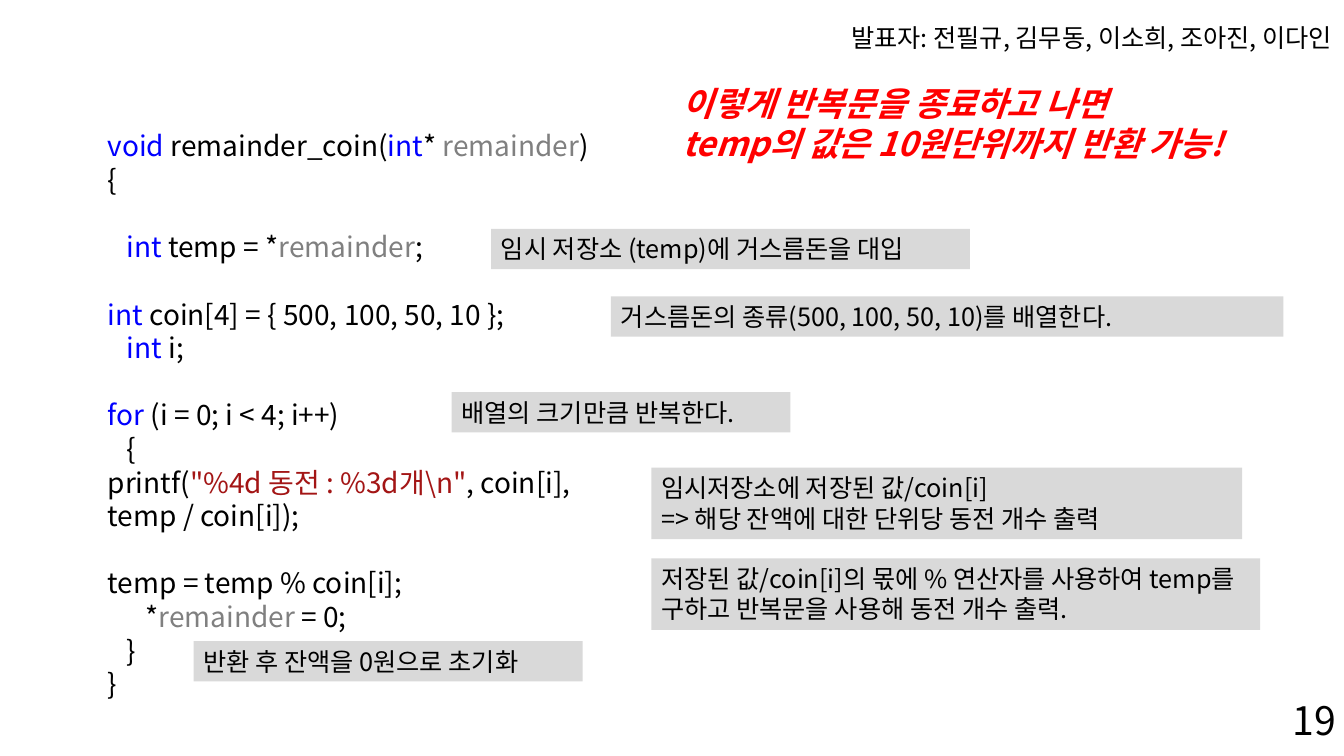
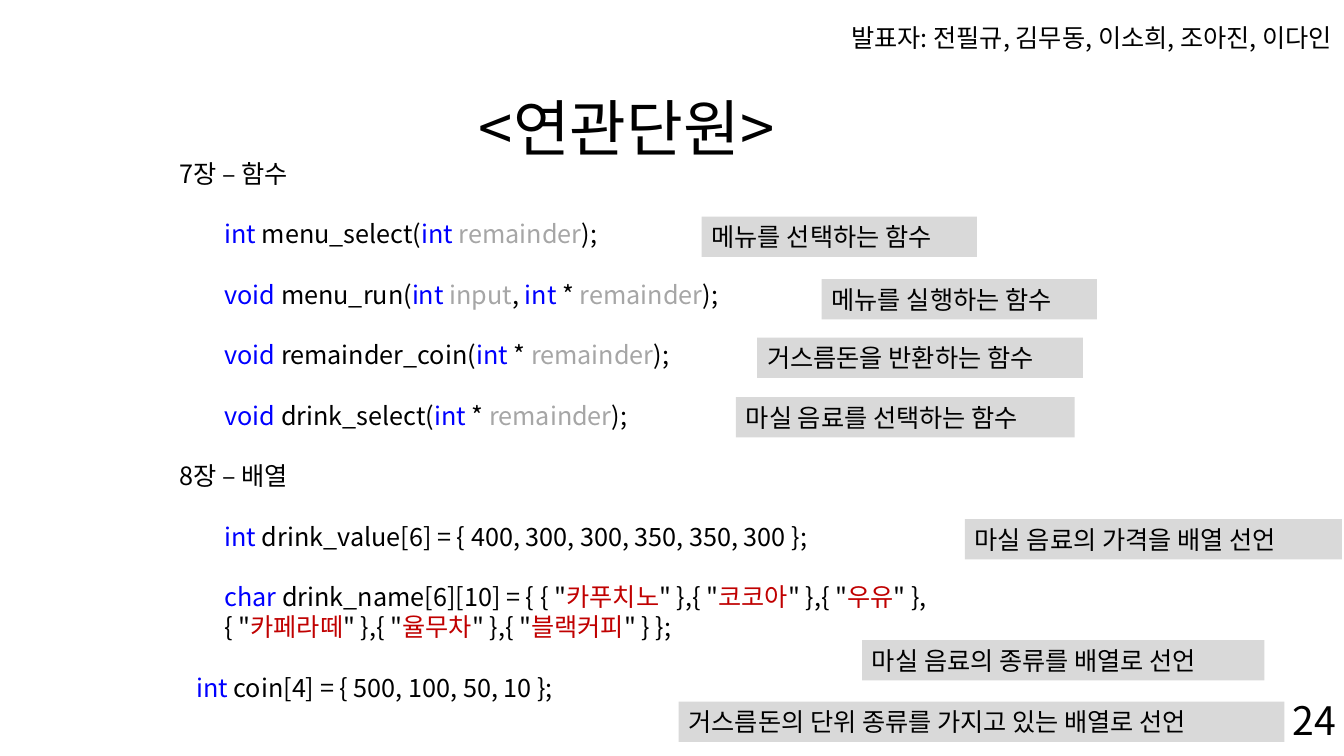
from dataclasses import dataclass
from functools import partial
from typing import NamedTuple, Optional

from lxml import etree
from pptx import Presentation
from pptx import util as u
from pptx.dml.color import RGBColor
from pptx.enum import text as t
from pptx.oxml import ns

EMU_PER_PX = 9144  # 100 px to the inch
FONT = "Noto Sans CJK KR"
LINE_RATIO = 1.2
COLORS = {
    "ink": "000000",
    "label": "D9D9D9",
    "alert": "FF0000",
    "keyword": "0000FF",
    "parameter": "808080",
    "pale_parameter": "A6A6A6",
    "string": "A31515",
    "drink": "C00000",
}
PRESENTERS = "발표자: 전필규, 김무동, 이소희, 조아진, 이다인"


class Box(NamedTuple):
    left: int
    top: int
    width: int
    height: int


class Span(NamedTuple):
    text: str
    color: str = "ink"


keyword = partial(Span, color="keyword")
parameter = partial(Span, color="parameter")
pale = partial(Span, color="pale_parameter")
string = partial(Span, color="string")
drink = partial(Span, color="drink")


@dataclass(frozen=True)
class Line:
    spans: tuple
    gap: bool = False


@dataclass(frozen=True)
class Style:
    size: int
    color: str = "ink"
    emphasis: Optional[bool] = None
    align: t.PP_ALIGN = t.PP_ALIGN.LEFT


@dataclass(frozen=True)
class Label:
    left: int
    top: int
    width: int
    text: str
    height: int = 40


def line(*parts, gap: bool = False) -> Line:
    """Make a line of plain strings and coloured spans; gap leaves one line free above."""
    return Line(tuple(Span(p) if isinstance(p, str) else p for p in parts), gap)


def plain_lines(content: str) -> list:
    return [line(row) for row in content.split("\n")]


def rgb(name: str) -> RGBColor:
    return RGBColor.from_string(COLORS[name])


def place(shape, box: Box) -> None:
    shape.left, shape.top, shape.width, shape.height = (v * EMU_PER_PX for v in box)


def style_paragraph(paragraph, style: Style) -> None:
    paragraph.alignment = style.align
    font = paragraph.font
    font.name, font.size = FONT, u.Pt(style.size)
    font.bold = font.italic = style.emphasis
    font.color.rgb = rgb(style.color)
    defaults = paragraph._p.get_or_add_pPr().get_or_add_defRPr()
    etree.SubElement(defaults, ns.qn("a:ea")).set("typeface", FONT)


def write_lines(frame, lines: list, style: Style) -> None:
    frame.word_wrap = True
    for number, row in enumerate(lines):
        paragraph = frame.add_paragraph() if number else frame.paragraphs[0]
        style_paragraph(paragraph, style)
        if row.gap:
            paragraph.space_before = u.Pt(style.size * LINE_RATIO)
        for span in row.spans:
            run = paragraph.add_run()
            run.text = span.text
            if span.color != "ink":
                run.font.color.rgb = rgb(span.color)


def add_text(slide, box: Box, lines: list, style: Style):
    textbox = slide.shapes.add_textbox(*(v * EMU_PER_PX for v in box))
    write_lines(textbox.text_frame, lines, style)
    return textbox


def add_labels(slide, labels: list) -> None:
    for label in labels:
        box = Box(label.left, label.top, label.width, label.height)
        note = add_text(slide, box, plain_lines(label.text), Style(18))
        note.fill.solid()
        note.fill.fore_color.rgb = rgb("label")


def add_title(slide, title: str, box: Box) -> None:
    placeholder = slide.shapes.title
    place(placeholder, box)
    frame = placeholder.text_frame
    frame.auto_size = t.MSO_AUTO_SIZE.NONE
    frame.vertical_anchor = t.MSO_ANCHOR.MIDDLE
    write_lines(frame, plain_lines(title), Style(44))
    frame.paragraphs[0].line_spacing = 0.9


def add_page_marks(slide, number: int) -> None:
    presenter_style = Style(18, align=t.PP_ALIGN.RIGHT)
    add_text(slide, Box(784, 17, 547, 40), plain_lines(PRESENTERS), presenter_style)
    page = add_text(slide, Box(1272, 686, 63, 57), plain_lines(str(number)), Style(28))
    page.text_frame.margin_right = 0


def build_remainder_slide(deck) -> None:
    slide = deck.slides.add_slide(deck.slide_layouts[6])
    code = [
        line(keyword("void "), "remainder_coin(", keyword("int"), "* ",
             parameter("remainder"), ")"),
        line("{"),
        line("   ", keyword("int"), " temp = *", parameter("remainder"), ";", gap=True),
        line(keyword("int"), " coin[4] = { 500, 100, 50, 10 };", gap=True),
        line("   ", keyword("int "), "i;"),
        line(keyword("for"), " (i = 0; i < 4; i++)", gap=True),
        line("   {"),
        line("printf(", string('"%4d 동전 : %3d개\\n"'), ", coin[i], temp / coin[i]);"),
        line("temp = temp % coin[i];", gap=True),
        line("      *", parameter("remainder "), "= 0;"),
        line("   }"),
        line("}"),
    ]
    add_text(slide, Box(97, 123, 531, 579), code, Style(20))
    add_labels(slide, [
        Label(487, 227, 475, "임시 저장소 (temp)에 거스름돈을 대입"),
        Label(606, 294, 667, "거스름돈의 종류(500, 100, 50, 10)를 배열한다."),
        Label(448, 389, 336, "배열의 크기만큼 반복한다."),
        Label(646, 464, 586,
              "임시저장소에 저장된 값/coin[i]\n=> 해당 잔액에 대한 단위당 동전 개수 출력", 71),
        Label(192, 636, 386, "반환 후 잔액을 0원으로 초기화"),
        Label(646, 554, 604, "저장된 값/coin[i]의 몫에 % 연산자를 사용하여 temp를 구하고 "
              "반복문을 사용해 동전 개수 출력.", 71),
    ])
    conclusion = "이렇게 반복문을 종료하고 나면\ntemp의 값은 10원단위까지 반환 가능!"
    add_text(slide, Box(667, 77, 667, 91), plain_lines(conclusion),
             Style(24, "alert", emphasis=True))
    add_page_marks(slide, 19)


def build_chapters_slide(deck) -> None:
    slide = deck.slides.add_slide(deck.slide_layouts[5])
    add_title(slide, "<연관단원>", Box(465, 58, 362, 145))
    indent = " " * 8
    integer, void = keyword("int "), keyword("void ")
    remainder = pale("remainder")
    following = '" },{ "'
    chapters = [
        line("7장 – 함수"),
        line(indent, integer, "menu_select(", integer, remainder, ");", gap=True),
        line(indent, void, "menu_run(", integer, pale("input"), ", ", integer, "* ",
             remainder, ");", gap=True),
        *(line(indent, void, f"{function}(", integer, "* ", remainder, ");", gap=True)
          for function in ("remainder_coin", "drink_select")),
        line("8장 – 배열", gap=True),
        line(indent, integer, "drink_value[6] = { 400, 300, 300, 350, 350, 300 };",
             gap=True),
        line(indent, keyword("char "), 'drink_name[6][10] = { { "', drink("카푸치노"),
             following, drink("코코아"), following, drink("우유"), '" },', gap=True),
        line(indent + '{ "', drink("카페라떼"), following, drink("율무차"),
             following, drink("블랙커피"), '" } };'),
        line("   ", integer, "coin[4] = { 500, 100, 50, 10 };", gap=True),
    ]
    add_text(slide, Box(168, 152, 859, 560), chapters, Style(18))
    add_labels(slide, [
        Label(696, 215, 273, "메뉴를 선택하는 함수"),
        Label(815, 277, 273, "메뉴를 실행하는 함수"),
        Label(751, 335, 323, "거스름돈을 반환하는 함수"),
        Label(957, 515, 374, "마실 음료의 가격을 배열 선언"),
        Label(730, 394, 336, "마실 음료를 선택하는 함수"),
        Label(855, 635, 399, "마실 음료의 종류를 배열로 선언"),
        Label(673, 696, 601, "거스름돈의 단위 종류를 가지고 있는 배열로 선언"),
    ])
    add_page_marks(slide, 24)


def main() -> None:
    deck = Presentation()
    deck.slide_width, deck.slide_height = 1333 * EMU_PER_PX, 750 * EMU_PER_PX
    build_remainder_slide(deck)
    build_chapters_slide(deck)
    deck.save("out.pptx")


if __name__ == "__main__":
    main()
